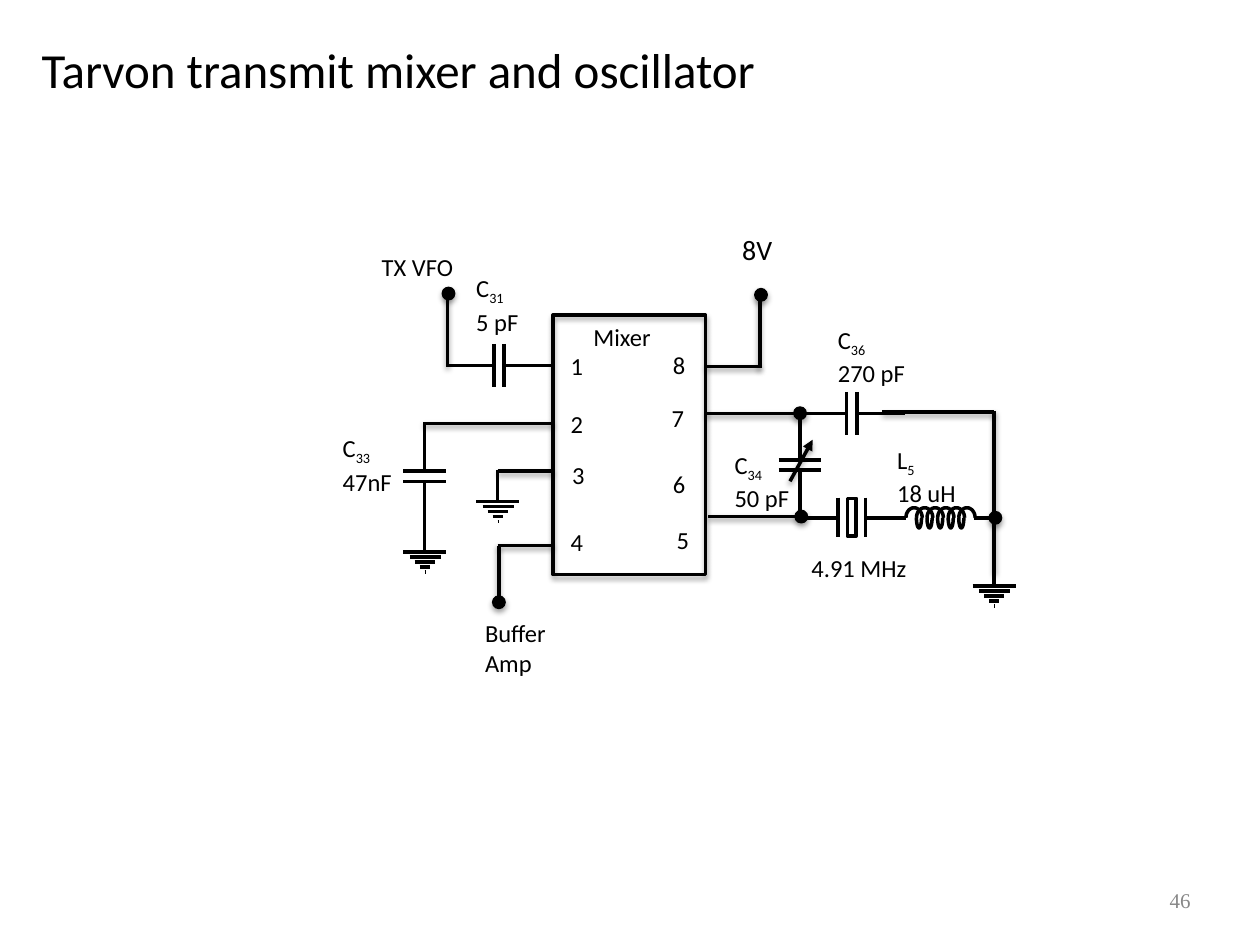
from dataclasses import dataclass
from math import cos, pi, sin

from lxml import etree
from pptx import Presentation
from pptx.dml.color import RGBColor
from pptx.enum.shapes import MSO_CONNECTOR, MSO_SHAPE
from pptx.enum.text import MSO_ANCHOR, MSO_AUTO_SIZE, PP_ALIGN
from pptx.oxml.ns import qn
from pptx.util import Emu, Pt

PX = 9144  # 100 px to the inch
STRAIGHT = MSO_CONNECTOR.STRAIGHT
RECT, OVAL = MSO_SHAPE.RECTANGLE, MSO_SHAPE.OVAL
LEFT, RIGHT = PP_ALIGN.LEFT, PP_ALIGN.RIGHT
TOP, MIDDLE = MSO_ANCHOR.TOP, MSO_ANCHOR.MIDDLE
FIT = MSO_AUTO_SIZE.SHAPE_TO_FIT_TEXT
BLACK, GREY = "000000", "888888"


@dataclass
class Label:
    x: int
    y: int
    w: int
    h: int
    lines: tuple[str, ...]
    sub: str = ""  # subscript after the first line
    size: int = 14
    align: PP_ALIGN = LEFT
    inset: int = 5
    wrap: bool = True
    font: str = "Calibri"
    color: str = BLACK
    anchor: MSO_ANCHOR = TOP


@dataclass
class Wire:
    x1: int
    y1: int
    x2: int
    y2: int
    arrow: bool = False


def px(n: float) -> Emu:
    return Emu(round(n * PX))


def rgb(color: str) -> RGBColor:
    return RGBColor.from_string(color)


def set_effects(shape, shadow: bool) -> None:
    effects = etree.SubElement(shape._element.spPr, qn("a:effectLst"))
    if shadow:
        outer = etree.SubElement(effects, qn("a:outerShdw"), blurRad=str(Pt(3)),
                                 dist=str(Pt(1.8)), dir="5400000", rotWithShape="0")
        clr = etree.SubElement(outer, qn("a:srgbClr"), val=BLACK)
        etree.SubElement(clr, qn("a:alpha"), val="36000")


def stroke(shape, width: float = 2) -> None:
    shape.line.color.rgb = rgb(BLACK)
    shape.line.width = Pt(width)


def add_line(shapes, wire: Wire, shadow: bool = False) -> None:
    c = shapes.add_connector(STRAIGHT, px(wire.x1), px(wire.y1), px(wire.x2), px(wire.y2))
    stroke(c)
    if wire.arrow:
        etree.SubElement(c.line._get_or_add_ln(), qn("a:tailEnd"), type="triangle")
    set_effects(c, shadow)


def add_rect(shapes, x: int, y: int, w: int, h: int, shadow: bool = False):
    sp = shapes.add_shape(RECT, px(x), px(y), px(w), px(h))
    sp.fill.background()
    stroke(sp)
    set_effects(sp, shadow)
    return sp


def add_dot(shapes, cx: int, cy: int) -> None:
    sp = shapes.add_shape(OVAL, px(cx - 5), px(cy - 5), px(10), px(10))
    sp.fill.solid()
    sp.fill.fore_color.rgb = rgb(BLACK)
    stroke(sp, 0.75)
    set_effects(sp, True)


def add_run(p, text: str, label: Label, subscript: bool = False) -> None:
    r = p.add_run()
    r.text = text
    r.font.name, r.font.size = label.font, Pt(label.size)
    r.font.color.rgb = rgb(label.color)
    if subscript:
        r._r.get_or_add_rPr().set("baseline", "-25000")


def fill_label(sp, label: Label) -> None:
    sp.left, sp.top, sp.width, sp.height = map(px, (label.x, label.y, label.w, label.h))
    tf = sp.text_frame
    tf.margin_left = tf.margin_right = tf.margin_top = tf.margin_bottom = px(label.inset)
    tf.word_wrap, tf.auto_size, tf.vertical_anchor = label.wrap, FIT, label.anchor
    for i, line in enumerate(label.lines):
        p = tf.add_paragraph() if i else tf.paragraphs[0]
        p.alignment = label.align
        add_run(p, line, label)
        if label.sub and i == 0:
            add_run(p, label.sub, label, subscript=True)


def add_capacitor(shapes, cx: int, cy: int, vertical: bool) -> None:
    """Two leads and two plates, mirrored about the centre."""
    g = shapes.add_group_shape().shapes
    for side in (-1, 1):
        near, far = 4 * side, 42 * side
        for a1, b1, a2, b2 in ((near, 0, far, 0), (near, -17, near, 17)):
            if vertical:
                a1, b1, a2, b2 = b1, a1, b2, a2
            add_line(g, Wire(cx + a1, cy + b1, cx + a2, cy + b2))


def add_ground(shapes, x: int, y: int) -> None:
    g = shapes.add_group_shape().shapes
    add_line(g, Wire(x, y - 25, x, y))
    for i, w in enumerate((34, 25, 16, 8, 1)):
        left = x - w // 2
        add_line(g, Wire(left, y + 4 * i, left + w, y + 4 * i))


def add_crystal(shapes, cx: int, cy: int) -> None:
    g = shapes.add_group_shape().shapes
    for side in (-1, 1):
        plate = cx + 11 * side
        add_line(g, Wire(plate, cy - 16, plate, cy + 15))
        add_line(g, Wire(plate, cy, cx + 40 * side, cy))
    add_rect(g, cx - 15, cy - 4, 30, 7).rotation = 90


def add_arc(shapes, x: float, y: int, w: int, h: int) -> None:
    """Half ellipse from x to x + w; a negative h bends it upwards."""
    steps = 16
    points = [(px(x + w / 2 * (1 - cos(pi * i / steps))), px(y + h * sin(pi * i / steps)))
              for i in range(steps + 1)]
    builder = shapes.build_freeform(*points[0])
    builder.add_line_segments(points[1:], close=False)
    sp = builder.convert_to_shape()
    sp.fill.background()
    stroke(sp)
    set_effects(sp, False)


def add_coil(shapes, x: int, y: int) -> None:
    g = shapes.add_group_shape().shapes
    pitch, turns, loop = 8.4, 6, 13
    for i in range(turns):
        add_arc(g, x + pitch * i, y, loop, -8)
        if i:
            add_arc(g, x + pitch * i, y, 4, 8)
    add_line(g, Wire(x - 14, y, x, y))
    add_line(g, Wire(x + 54, y, x + 69, y))


TITLE = Label(33, 31, 632, 47, ("Tarvon transmit mixer and oscillator",), size=28, inset=0)
LABELS = [
    Label(717, 700, 233, 29, ("46",), size=12, align=RIGHT, font="Times New Roman",
          color=GREY, anchor=MIDDLE),
    Label(471, 256, 50, 24, ("Mixer",), inset=0, wrap=False),
    Label(660, 253, 74, 57, ("C", "270 pF"), "36"),
    Label(267, 339, 74, 57, ("C", "47nF"), "33"),
    Label(578, 352, 74, 57, ("C", "50 pF"), "34"),
    Label(707, 348, 74, 57, ("L", "18 uH"), "5"),
    Label(373, 212, 74, 57, ("C", "5 pF"), "31"),
    Label(584, 180, 39, 37, ("8V",), size=16),
    Label(639, 434, 86, 34, ("4.91 MHz",)),
    Label(380, 486, 86, 57, ("Buffer", "Amp")),
    Label(298, 195, 86, 34, ("TX VFO",)),
]
LEFT_PINS = [("1", 448, 274), ("2", 448, 320), ("3", 449, 360), ("4", 448, 413)]
RIGHT_PINS = [("8", 473, 273), ("7", 472, 315), ("6", 473, 367), ("5", 476, 412)]
WIRES = [
    Wire(355, 232, 355, 291),                            # TX VFO
    Wire(336, 336, 439, 336), Wire(395, 374, 439, 374),  # pins 2 and 3
    Wire(395, 433, 439, 433), Wire(396, 433, 396, 474),  # buffer amp
    Wire(560, 291, 604, 291), Wire(603, 232, 603, 292),  # 8V supply
    Wire(560, 328, 634, 328), Wire(562, 410, 637, 410),  # pins 7 and 6
    Wire(700, 327, 789, 327), Wire(789, 326, 789, 454),  # return to ground
    Wire(627, 382, 645, 349, arrow=True),                # tuning arrow
]
CAPACITORS = [(337, 378, True), (635, 369, True), (676, 328, False), (396, 290, False)]
GROUNDS = [(337, 438), (395, 398), (789, 465)]
DOTS = [(604, 234), (635, 328), (396, 478), (356, 233), (636, 410), (790, 411)]


def main() -> None:
    prs = Presentation()
    prs.slide_width, prs.slide_height = px(1000), px(750)
    s = prs.slides.add_slide(prs.slide_layouts[5])
    shapes = s.shapes
    fill_label(shapes.title, TITLE)

    # Chip and its pins
    add_rect(shapes, 439, 250, 121, 206, shadow=True)
    pins = [Label(x, y, 76, 34, (name,), align=align)
            for side, align in ((LEFT_PINS, LEFT), (RIGHT_PINS, RIGHT))
            for name, x, y in side]

    # Components and wiring
    add_crystal(shapes, 676, 411)
    for capacitor in CAPACITORS:
        add_capacitor(shapes, *capacitor)
    for ground in GROUNDS:
        add_ground(shapes, *ground)
    add_coil(shapes, 719, 411)
    for wire in WIRES:
        add_line(shapes, wire, shadow=True)
    for dot in DOTS:
        add_dot(shapes, *dot)

    # Text
    for label in LABELS + pins:
        fill_label(shapes.add_textbox(0, 0, 0, 0), label)
    prs.save("out.pptx")


if __name__ == "__main__":
    main()
